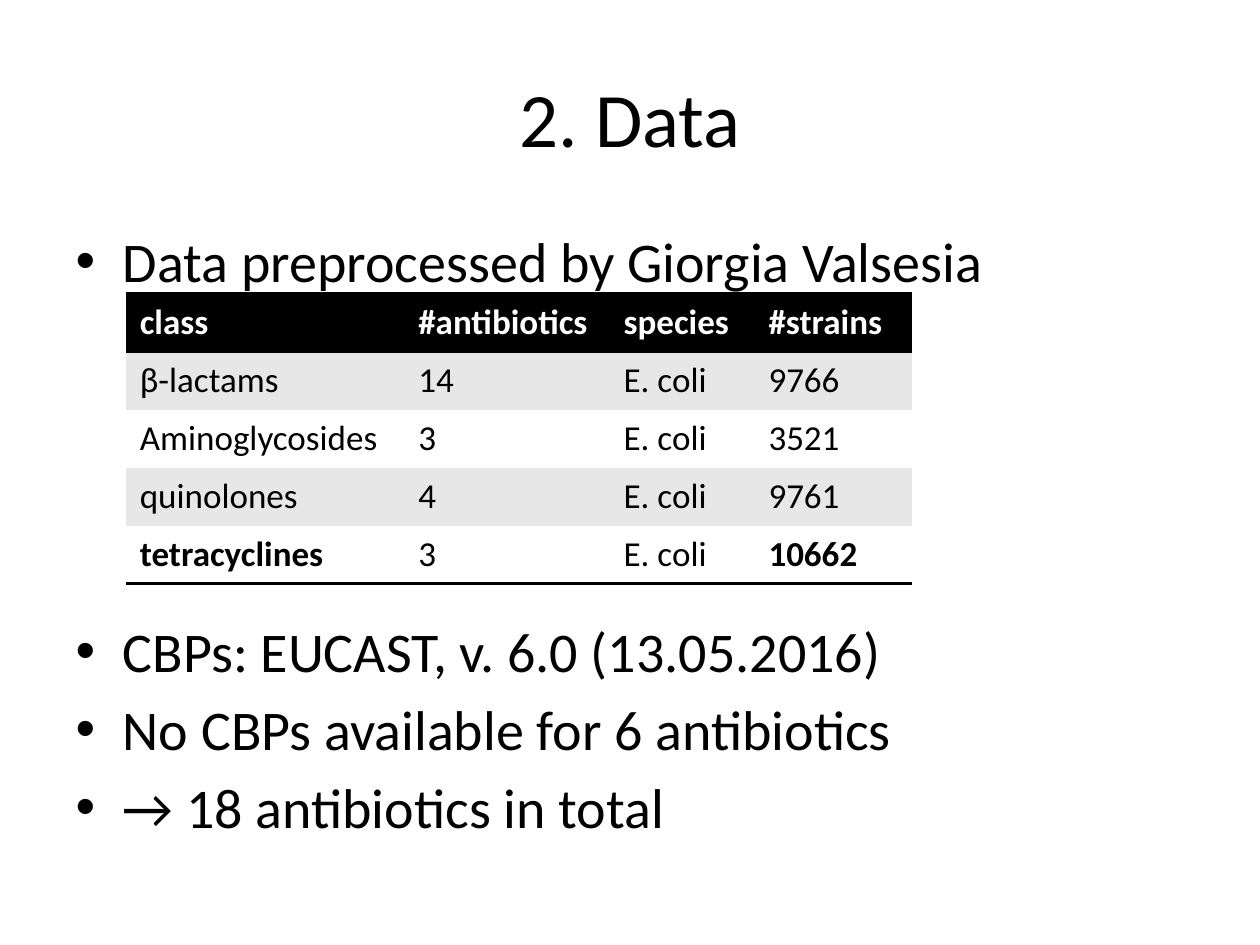
from typing import NamedTuple

from lxml.etree import SubElement
from pptx import Presentation
from pptx.dml.color import RGBColor as RGB
from pptx.enum.text import MSO_ANCHOR as Anchor, PP_ALIGN as Align
from pptx.oxml import parse_xml
from pptx.oxml.ns import nsdecls, qn
from pptx.util import Inches, Pt

FONT = "Calibri"
BLACK, WHITE, GREY = "000000", "FFFFFF", "E7E7E7"
PLAIN_STYLE = "{2D5ABB26-0587-4C30-8999-92F81FD0307C}"
WIDTHS = (2.21, 1.63, 1.15, 1.25)
ROW_H = 0.46


class Point(NamedTuple):
    text: str
    before: float = 6.4


class Row(NamedTuple):
    cells: tuple[str, ...]
    fill: str
    color: str = BLACK
    bold: tuple[int, ...] = ()
    edges: tuple[str, ...] = ()


# The second point leaves room above it for the table.
POINTS = (
    Point("Data preprocessed by Giorgia Valsesia"),
    Point("CBPs: EUCAST, v. 6.0 (13.05.2016)", 184),
    Point("No CBPs available for 6 antibiotics"),
    Point("→ 18 antibiotics in total"),
)

ROWS = (
    Row(("class", "#antibiotics", "species", "#strains"), BLACK, WHITE,
        (0, 1, 2, 3), ("lnT", "lnB")),
    Row(("β-lactams", "14", "E. coli", "9766"), GREY),
    Row(("Aminoglycosides", "3", "E. coli", "3521"), WHITE),
    Row(("quinolones", "4", "E. coli", "9761"), GREY),
    Row(("tetracyclines", "3", "E. coli", "10662"), WHITE,
        bold=(0, 3), edges=("lnB",)),
)


def rgb(code: str) -> RGB:
    return RGB.from_string(code)


def add_run(para, text: str, size: float, color: str = BLACK,
            bold: bool = False) -> None:
    run = para.add_run()
    run.text = text
    font = run.font
    font.name, font.size, font.bold = FONT, Pt(size), bold
    font.color.rgb = rgb(color)


def place(shape, left: float, top: float, width: float, height: float) -> None:
    shape.left, shape.top = Inches(left), Inches(top)
    shape.width, shape.height = Inches(width), Inches(height)


def add_edges(cell, edges: tuple[str, ...]) -> None:
    """Draw 2 pt black borders; they must come before the fill in the XML."""
    props = cell._tc.get_or_add_tcPr()
    for i, tag in enumerate(edges):
        line = parse_xml(f'<a:{tag} {nsdecls("a")} w="{Pt(2)}"/>')
        fill = SubElement(line, qn("a:solidFill"))
        SubElement(fill, qn("a:srgbClr"), val=BLACK)
        props.insert(i, line)


def fill_title(title) -> None:
    place(title, 0.5, 0.3, 9, 1.25)
    frame = title.text_frame
    frame.vertical_anchor = Anchor.MIDDLE
    para = frame.paragraphs[0]
    para.alignment = Align.CENTER
    add_run(para, "2. Data", 44)


def fill_body(body, points: tuple[Point, ...]) -> None:
    place(body, 0.5, 1.75, 9, 4.95)
    frame = body.text_frame
    for i, point in enumerate(points):
        para = frame.add_paragraph() if i else frame.paragraphs[0]
        para.space_before = Pt(point.before)
        add_run(para, point.text, 32)


def draw_table(slide, rows: tuple[Row, ...]) -> None:
    frame = slide.shapes.add_table(
        len(rows), len(WIDTHS), Inches(1), Inches(2.33),
        Inches(sum(WIDTHS)), Inches(ROW_H * len(rows)))
    table = frame.table
    table.first_row = table.horz_banding = False
    table._tbl.tblPr.find(qn("a:tableStyleId")).text = PLAIN_STYLE
    for col, width in zip(table.columns, WIDTHS):
        col.width = Inches(width)
    for line, row in zip(table.rows, rows):
        line.height = Inches(ROW_H)
        for i, (cell, text) in enumerate(zip(line.cells, row.cells)):
            cell.margin_left = cell.margin_right = Inches(0.11)
            cell.margin_top = cell.margin_bottom = Inches(0.06)
            cell.fill.solid()
            cell.fill.fore_color.rgb = rgb(row.fill)
            add_run(cell.text_frame.paragraphs[0], text, 20, row.color,
                    i in row.bold)
            add_edges(cell, row.edges)


def main() -> None:
    prs = Presentation()
    prs.slide_width, prs.slide_height = Inches(10), Inches(7.5)
    slide = prs.slides.add_slide(prs.slide_layouts[1])
    fill_title(slide.shapes.title)
    fill_body(slide.placeholders[1], POINTS)
    draw_table(slide, ROWS)
    prs.save("out.pptx")


if __name__ == "__main__":
    main()
